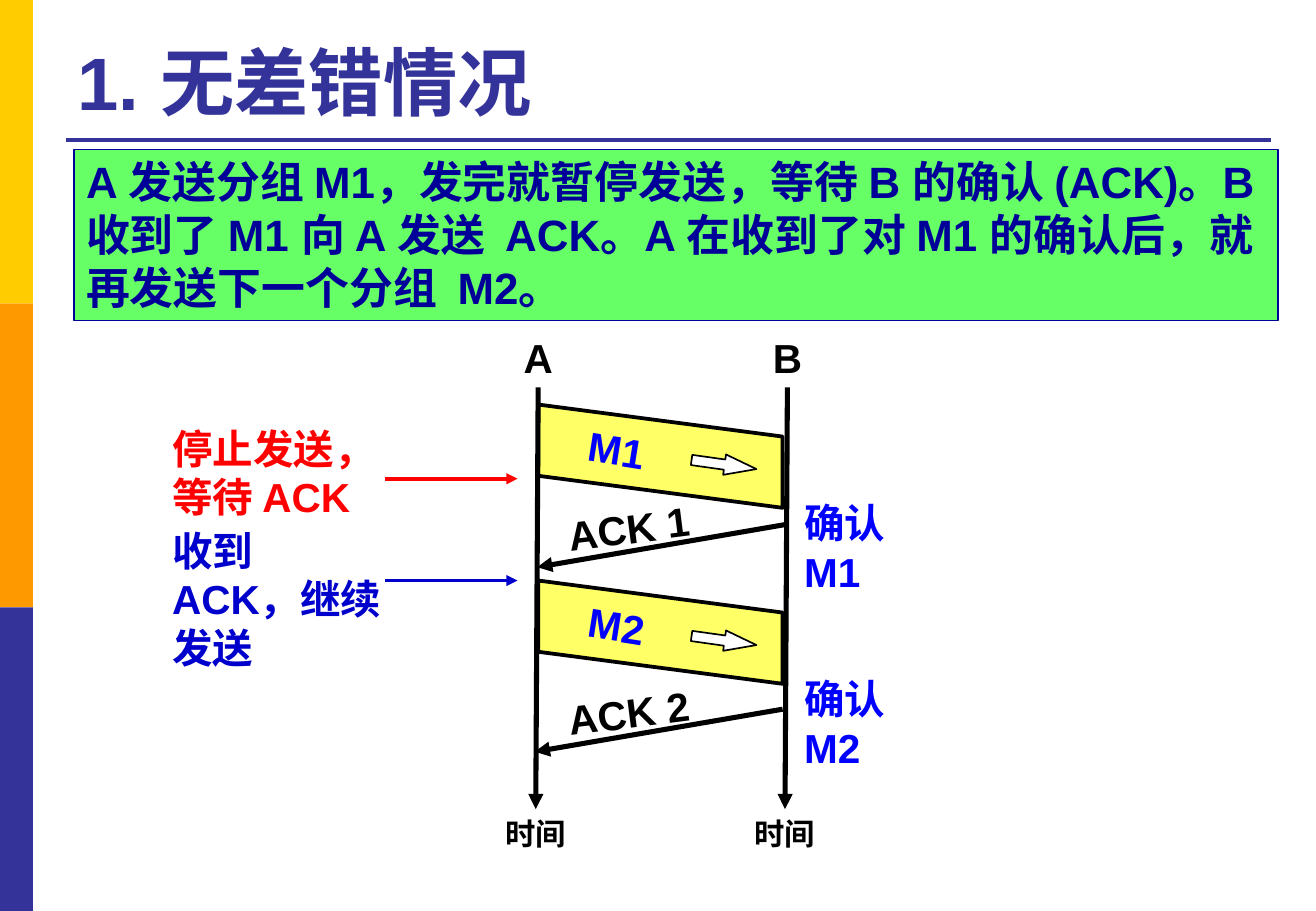
from lxml import etree
from pptx import Presentation
from pptx.dml.color import RGBColor
from pptx.enum.shapes import MSO_CONNECTOR, MSO_SHAPE
from pptx.enum.text import MSO_ANCHOR, MSO_AUTO_SIZE, PP_ALIGN
from pptx.oxml.ns import qn
from pptx.util import Cm, Pt

STRAIGHT = MSO_CONNECTOR.STRAIGHT
RECTANGLE = MSO_SHAPE.RECTANGLE
RIGHT_ARROW = MSO_SHAPE.RIGHT_ARROW
TOP, BOTTOM = MSO_ANCHOR.TOP, MSO_ANCHOR.BOTTOM
LEFT, CENTER = PP_ALIGN.LEFT, PP_ALIGN.CENTER
NO_AUTOFIT = MSO_AUTO_SIZE.NONE
TOP_SIDE, BOTTOM_SIDE = 0, 2
TITLE_ONLY = 5

COLORS = {
    "gold": "FFCC00",
    "orange": "FF9900",
    "indigo": "333399",
    "green": "66FF66",
    "navy": "000099",
    "yellow": "FFFF66",
    "white": "FFFFFF",
    "black": "000000",
    "blue": "0000FF",
    "red": "FF0000",
    "royal": "0000CC",
}

HOST_A, HOST_B = 11.2, 16.41
FRAME_LEFT, FRAME_RIGHT = 11.25, 16.36
FRAME_DROP, FRAME_HEIGHT = 0.67, 1.49


def color(name):
    """Return the named colour as an RGBColor."""
    return RGBColor.from_string(COLORS[name])


def write(shape, text, size=24, ink="black", align=LEFT, anchor=TOP, wrap=True):
    """Put formatted bold Arial text into a shape."""
    frame = shape.text_frame
    frame.auto_size = NO_AUTOFIT
    frame.word_wrap = wrap
    frame.vertical_anchor = anchor
    paragraph = frame.paragraphs[0]
    paragraph.alignment = align
    run = paragraph.add_run()
    run.text = text
    run.font.name = "Arial"
    run.font.size = Pt(size)
    run.font.bold = True
    run.font.color.rgb = color(ink)


def add_label(slide, text, left, top, width, height, rotation=0, **style):
    """Add a text box and return it."""
    label = slide.shapes.add_textbox(Cm(left), Cm(top), Cm(width), Cm(height))
    label.rotation = rotation
    write(label, text, **style)
    return label


def paint(shape, fill, outline=None, weight=1):
    """Set fill and outline of a shape and drop its shadow."""
    shape.shadow.inherit = False
    shape.fill.solid()
    shape.fill.fore_color.rgb = color(fill)
    if outline:
        shape.line.color.rgb = color(outline)
        shape.line.width = Pt(weight)
    else:
        shape.line.fill.background()


def add_block(slide, kind, left, top, width, height, **look):
    """Add a painted preset shape and return it."""
    block = slide.shapes.add_shape(kind, Cm(left), Cm(top), Cm(width), Cm(height))
    paint(block, **look)
    return block


def add_line(slide, start, end, ink="black", weight=3.0, arrow=True):
    """Add a straight line, with an arrowhead at its end if wanted."""
    line = slide.shapes.add_connector(STRAIGHT, *map(Cm, start + end))
    line.line.color.rgb = color(ink)
    line.line.width = Pt(weight)
    properties = line.element.spPr
    if arrow:
        outline = properties.find(qn("a:ln"))
        etree.SubElement(outline, qn("a:tailEnd"), type="triangle")
    etree.SubElement(properties, qn("a:effectLst"))
    return line


def add_title(slide, text):
    """Place the title, its rule and the coloured side bars."""
    for index, fill in enumerate(("gold", "orange", "indigo")):
        add_block(slide, RECTANGLE, 0, 6.35 * index, 0.69, 6.35, fill=fill)
    add_line(slide, (1.37, 2.92), (26.57, 2.92), "indigo", 2.25, arrow=False)
    title = slide.shapes.title
    title.left, title.top, title.width, title.height = map(Cm, (1.37, 0.53, 25.17, 2.21))
    write(title, text, size=44, ink="indigo", anchor=BOTTOM)


def add_frame(slide, name, top):
    """Draw a slanted data frame with its name, direction and confirmation."""
    corners = [
        (FRAME_RIGHT, top + FRAME_DROP),
        (FRAME_RIGHT, top + FRAME_DROP + FRAME_HEIGHT),
        (FRAME_LEFT, top + FRAME_HEIGHT),
    ]
    builder = slide.shapes.build_freeform(Cm(FRAME_LEFT), Cm(top))
    builder.add_line_segments([(Cm(x), Cm(y)) for x, y in corners])
    paint(builder.convert_to_shape(), "yellow", "black", 2.25)
    direction = add_block(slide, RIGHT_ARROW, 14.45, top + 1.04, 1.37, 0.43,
                          fill="white", outline="black")
    direction.adjustments[1] = 1.565
    direction.rotation = 8
    add_label(slide, name, 12.04, top + 0.3, 1.7, 1.27, rotation=9,
              ink="blue", align=CENTER, wrap=False)
    add_label(slide, f"确认 {name}", 16.56, top + 1.84, 2.9, 2.3, ink="blue")


def add_ack(slide, name, start_x, start_y):
    """Draw an acknowledgement arrow from B back to A."""
    add_line(slide, (start_x, start_y), (start_x - 5.18, start_y + 0.89))
    add_label(slide, name, 11.61, start_y - 0.57, 3.07, 1.3, rotation=352.8,
              align=CENTER, wrap=False)


def add_note(slide, text, top, width, arrow_y, ink):
    """Write a remark on sender A with an arrow to its time axis."""
    add_label(slide, text, 3.35, top, width, 2.31, ink=ink)
    add_line(slide, (8.05, arrow_y), (10.82, arrow_y), ink, 2.25)


def add_host(slide, name, x, bottom):
    """Draw a host's name, time axis and time label."""
    host = add_label(slide, name, x - 0.6, 6.83, 1.3, 1.27, align=CENTER)
    time = add_label(slide, "时间", x - 1, bottom, 2, 1.02, size=18, align=CENTER)
    axis = add_line(slide, (x, 8.1), (x, bottom))
    axis.begin_connect(host, BOTTOM_SIDE)
    axis.end_connect(time, TOP_SIDE)


def main():
    """Build the slide on error-free stop-and-wait transfer."""
    deck = Presentation()
    deck.slide_width, deck.slide_height = Cm(27.51), Cm(19.05)
    slide = deck.slides.add_slide(deck.slide_layouts[TITLE_ONLY])
    add_title(slide, "1. 无差错情况")
    summary = add_block(slide, RECTANGLE, 1.55, 3.12, 25.17, 3.58,
                        fill="green", outline="navy", weight=0.75)
    write(summary, "A 发送分组 M1，发完就暂停发送，等待 B 的确认 (ACK)。"
          "B 收到了 M1 向 A 发送  ACK。A 在收到了对 M1 的确认后，"
          "就再发送下一个分组  M2。", size=26, ink="navy")
    add_frame(slide, "M1", 8.46)
    add_frame(slide, "M2", 12.14)
    add_ack(slide, "ACK 1", 16.41, 10.97)
    add_ack(slide, "ACK 2", 16.36, 14.83)
    add_note(slide, "停止发送，等待 ACK", 8.74, 5.13, 10.01, "red")
    add_note(slide, "收到 ACK，继续发送", 10.87, 4.9, 12.14, "royal")
    add_host(slide, "A", HOST_A, 16.92)
    add_host(slide, "B", HOST_B, 16.92)
    deck.save("out.pptx")


if __name__ == "__main__":
    main()
